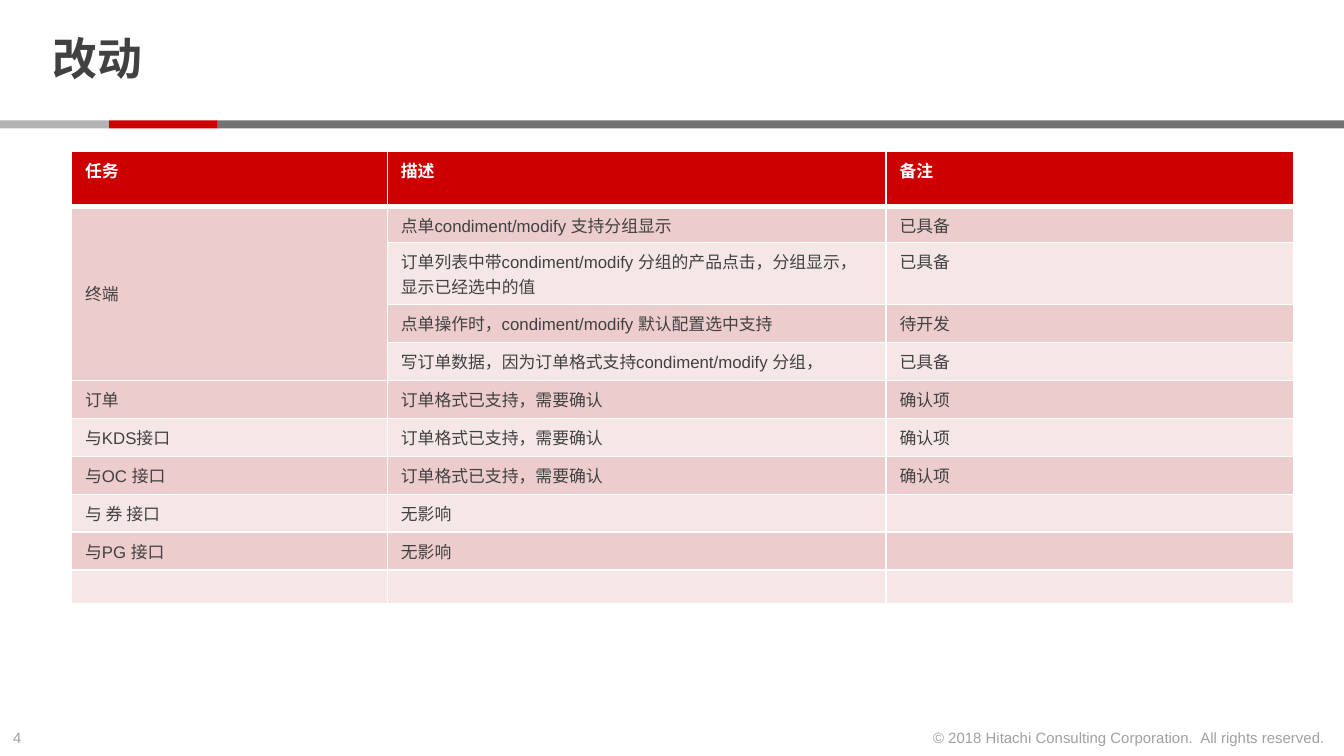
from lxml.etree import SubElement
from pptx import Presentation
from pptx.dml.color import RGBColor
from pptx.enum.shapes import MSO_SHAPE
from pptx.enum.text import MSO_ANCHOR, MSO_AUTO_SIZE, PP_ALIGN
from pptx.oxml.ns import qn
from pptx.util import Inches, Pt

COLORS = {
    "text": "414141", "muted": "A0A0A0", "white": "FFFFFF",
    "red": "CC0000", "light": "B3B3B3", "dark": "737373",
    "band1": "ECCCCC", "band2": "F6E7E7",
}
COLS = 100  # grid of 0.1 inch cells
ROWS = COLS * 9 / 16

HEADER = ("任务", "描述", "备注")
TASKS = [
    ("终端", "点单condiment/modify 支持分组显示", "已具备"),
    ("", "订单列表中带condiment/modify 分组的产品点击，分组显示，显示已经选中的值", "已具备"),
    ("", "点单操作时，condiment/modify 默认配置选中支持", "待开发"),
    ("", "写订单数据，因为订单格式支持condiment/modify 分组，", "已具备"),
    ("订单", "订单格式已支持，需要确认", "确认项"),
    ("与KDS接口", "订单格式已支持，需要确认", "确认项"),
    ("与OC 接口", "订单格式已支持，需要确认", "确认项"),
    ("与 券 接口", "无影响", ""),
    ("与PG 接口", "无影响", ""),
    ("", "", ""),
]
TERMINAL_ROWS = 4
COL_WIDTHS = (23.5, 37.1, 30.3)
ROW_HEIGHTS = (4.1, 2.7, 4.6) + (2.83,) * 7 + (2.4,)


def grid(n):
    return Inches(n / 10)


def rgb(name):
    return RGBColor.from_string(COLORS[name])


class Deck:
    font = "Arial"

    def __init__(self):
        self.prs = Presentation()
        self.prs.slide_width, self.prs.slide_height = grid(COLS), grid(ROWS)
        self.s = self.prs.slides.add_slide(self.prs.slide_layouts[5])

    def style(self, p, size, color, bold=False):
        p.font.name, p.font.size, p.font.bold = self.font, Pt(size), bold
        p.font.color.rgb = rgb(color)

    def title(self, text, x, y, w, h):
        sp = self.s.shapes.title
        sp.left, sp.top, sp.width, sp.height = map(grid, (x, y, w, h))
        tf = sp.text_frame
        tf.text = text
        tf.auto_size = MSO_AUTO_SIZE.NONE
        tf.vertical_anchor = MSO_ANCHOR.MIDDLE
        tf.margin_top = tf.margin_bottom = 0
        p = tf.paragraphs[0]
        p.alignment, p.line_spacing = PP_ALIGN.LEFT, 0.85
        self.style(p, 24, "text", True)

    def bar(self, x, y, w, h, color):
        sp = self.s.shapes.add_shape(MSO_SHAPE.RECTANGLE, *map(grid, (x, y, w, h)))
        sp.shadow.inherit = False
        sp.fill.solid()
        sp.fill.fore_color.rgb = rgb(color)
        sp.line.fill.background()

    def footer(self, text, x, y, w, h, align=PP_ALIGN.LEFT):
        tf = self.s.shapes.add_textbox(*map(grid, (x, y, w, h))).text_frame
        tf.word_wrap = False
        tf.text = text
        p = tf.paragraphs[0]
        p.alignment = align
        self.style(p, 8, "muted")

    def borders(self, cell, bottom):
        """Draw white cell borders; the schema puts them before the fill."""
        tc_pr = cell._tc.get_or_add_tcPr()
        for side in "LRTB":
            width = bottom if side == "B" else 1
            ln = SubElement(tc_pr, qn(f"a:ln{side}"), w=str(Pt(width)))
            fill = SubElement(ln, qn("a:solidFill"))
            SubElement(fill, qn("a:srgbClr"), val=COLORS["white"])

    def cell(self, cell, text, fill, color, bold=False, bottom=1):
        self.borders(cell, bottom)
        cell.fill.solid()
        cell.fill.fore_color.rgb = rgb(fill)
        cell.text = text
        p = cell.text_frame.paragraphs[0]
        self.style(p, 9, color, bold)
        if not text:  # an empty paragraph takes its height from its end mark
            SubElement(p._p, qn("a:endParaRPr"), sz="900")

    def table(self, x, y):
        frame = self.s.shapes.add_table(
            len(ROW_HEIGHTS), len(COL_WIDTHS), grid(x), grid(y),
            grid(sum(COL_WIDTHS)), grid(sum(ROW_HEIGHTS)))
        table = frame.table
        for col, w in zip(table.columns, COL_WIDTHS):
            col.width = grid(w)
        for row, h in zip(table.rows, ROW_HEIGHTS):
            row.height = grid(h)
        for c, text in enumerate(HEADER):
            self.cell(table.cell(0, c), text, "red", "white", True, bottom=3)
        for r, task in enumerate(TASKS, 1):
            for c, text in enumerate(task):
                self.cell(table.cell(r, c), text, "band1" if r % 2 else "band2", "text")
        terminal = table.cell(1, 0)
        terminal.merge(table.cell(TERMINAL_ROWS, 0))
        terminal.vertical_anchor = MSO_ANCHOR.MIDDLE


def main():
    deck = Deck()
    step = 8.1
    for x, w, color in ((2 * step, COLS - 2 * step, "dark"),
                        (step, step, "red"), (0, step, "light")):
        deck.bar(x, 8.97, w, 0.6, color)
    deck.footer("4", 0, 53.75, 3.4, 2.4)
    deck.footer("© 2018 Hitachi Consulting Corporation.  All rights reserved.",
                68, 53.75, 31.6, 2.4, PP_ALIGN.RIGHT)
    deck.title("改动", 2.9, 0.6, 77.1, 8)
    deck.table(5.33, 11.25)
    deck.prs.save("out.pptx")


if __name__ == "__main__":
    main()
